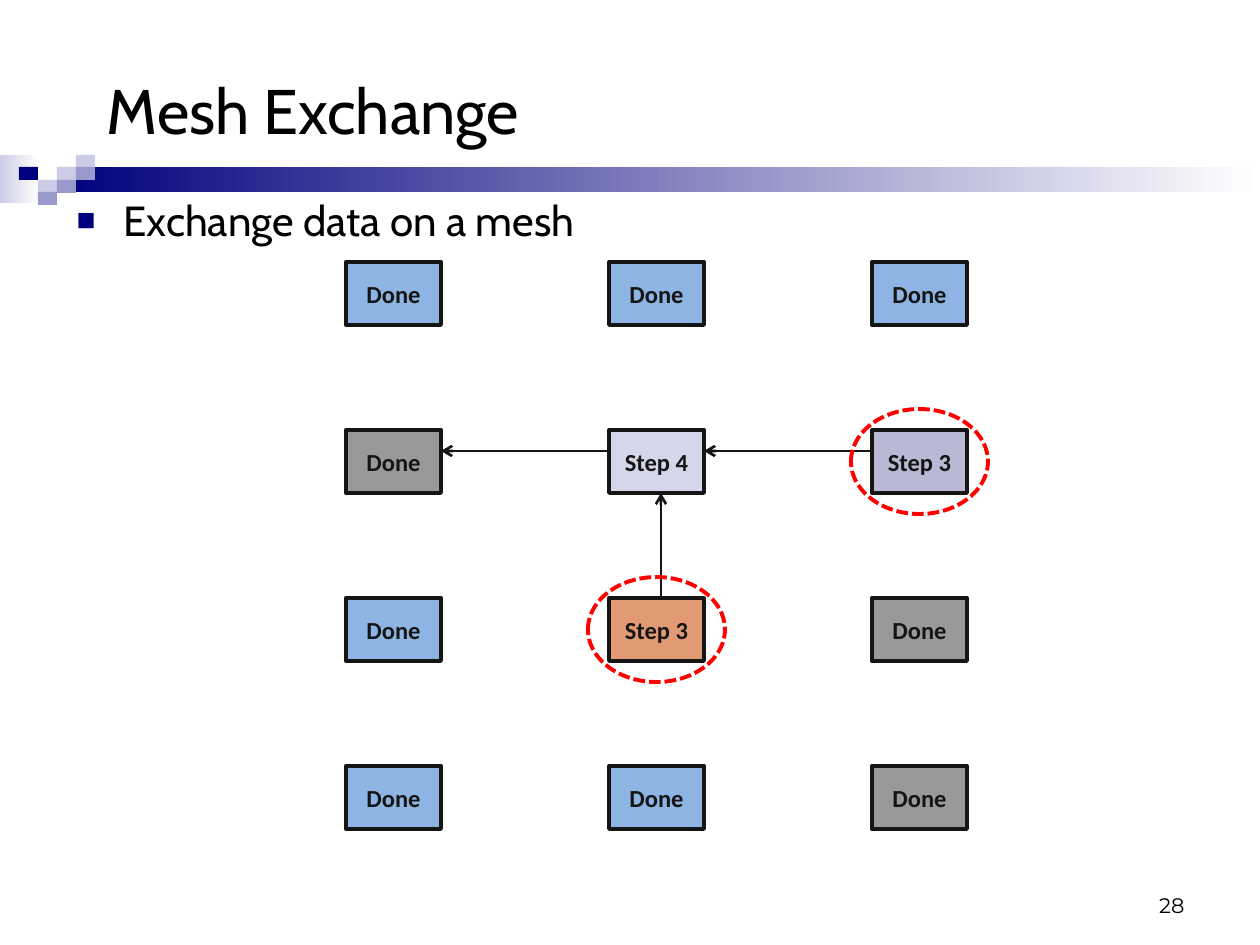
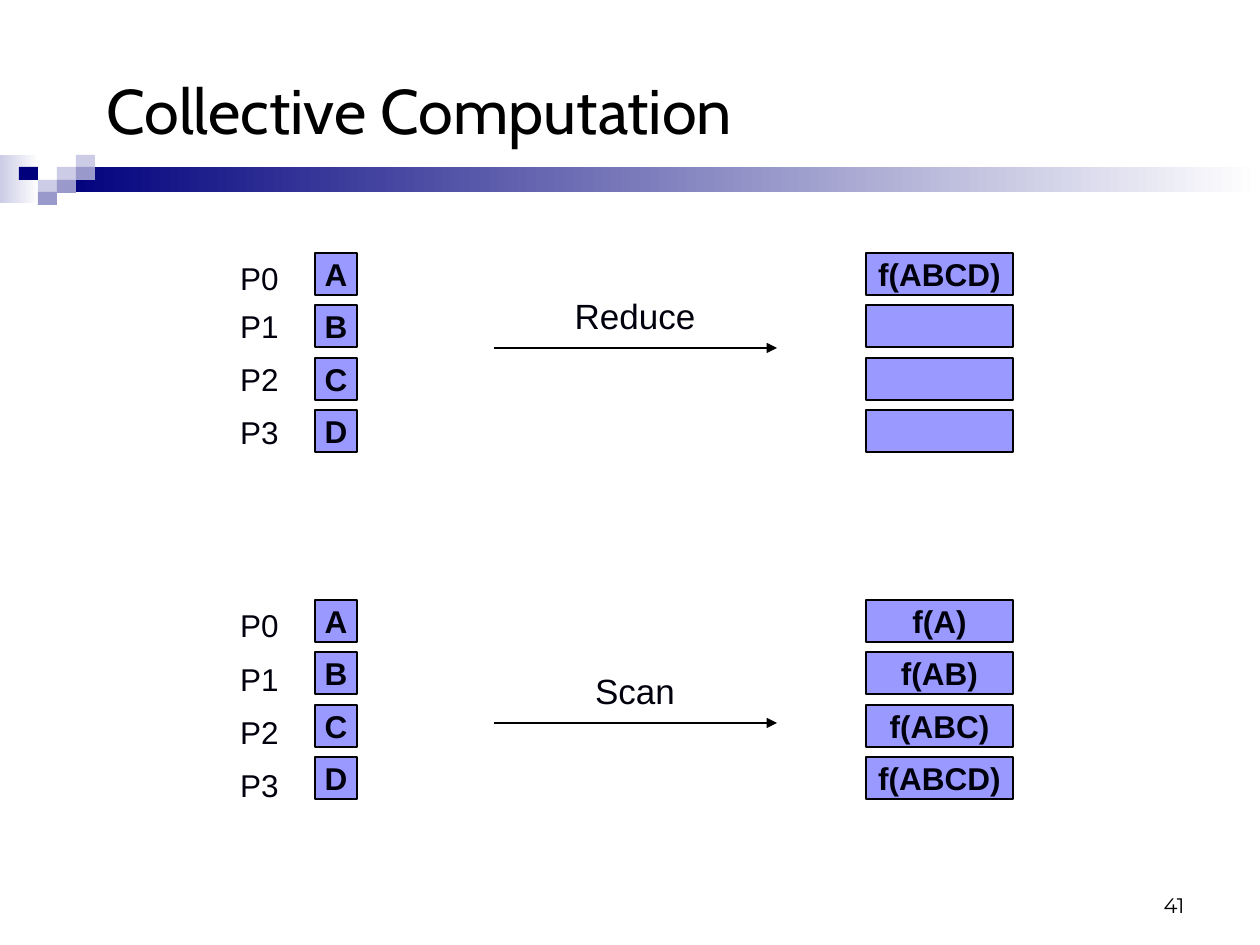
from dataclasses import dataclass
from lxml.etree import SubElement
from pptx import Presentation
from pptx.dml.color import RGBColor
from pptx.enum.dml import MSO_LINE
from pptx.enum.shapes import MSO_CONNECTOR, MSO_SHAPE
from pptx.enum.text import MSO_ANCHOR, MSO_AUTO_SIZE, PP_ALIGN
from pptx.oxml.ns import qn
from pptx.util import Emu, Pt


@dataclass(frozen=True)
class Theme:
    """Colours and type styles shared by the slides."""
    navy: str = "00007D"
    mid: str = "9999CC"
    pale: str = "CCCCE6"
    white: str = "FFFFFF"
    black: str = "000000"
    ink: str = "151515"
    red: str = "FF0000"
    blue: str = "8EB4E3"
    gray: str = "999999"
    mist: str = "D6D6EB"
    lilac: str = "B9B9D5"
    clay: str = "E29A75"
    cell: str = "9999FF"
    title: tuple = ("Cabin", 36, False, "000000")
    body: tuple = ("Cabin", 24, False, "000000")
    page: tuple = ("Montserrat", 12, False, "000000")
    node: tuple = ("Calibri", 14, True, "151515")
    value: tuple = ("Arial", 18, True, "00000D")
    rank: tuple = ("Arial", 18, False, "00000D")
    verb: tuple = ("Arial", 20, False, "00000D")


THEME = Theme()
LEFT, TOP, NODE_W, NODE_H = 346, 262, 95, 63
COL_STEP, ROW_STEP = 263, 168


def px(num):
    """Turn pixels into EMU."""
    return Emu(round(num * 914400 / 126))


def rgb(code):
    """Make a colour from its hex code."""
    return RGBColor.from_string(code)


def apply(item, values):
    """Set each attribute named in a dict."""
    for name, value in values.items():
        setattr(item, name, value)


def place(shape, *area):
    """Move and size a shape by left, top, width and height."""
    apply(shape, dict(zip(("left", "top", "width", "height"), map(px, area))))


def write(shape, text, style, align=PP_ALIGN.CENTER,
          anchor=MSO_ANCHOR.MIDDLE, wrap=True):
    """Write one styled paragraph into a shape and return it."""
    face, size, bold, color = style
    frame = shape.text_frame
    apply(frame, {"text": text, "word_wrap": wrap, "vertical_anchor": anchor,
                  "auto_size": MSO_AUTO_SIZE.NONE})
    para = frame.paragraphs[0]
    apply(para, {"alignment": align, "space_before": Pt(0)})
    font = para.runs[0].font
    apply(font, {"name": face, "size": Pt(size), "bold": bold})
    font.color.rgb = rgb(color)
    return para


def stroke(line, color, width, dash=None):
    """Format an outline or a connector."""
    line.color.rgb = rgb(color)
    apply(line, {"width": Pt(width), "dash_style": dash})


def draw(slide, area, fill=None, kind=MSO_SHAPE.RECTANGLE):
    """Add a flat shape with no outline."""
    shape = slide.shapes.add_shape(kind, *map(px, area))
    shape.shadow.inherit = False
    shape.line.fill.background()
    if fill:
        shape.fill.solid()
        shape.fill.fore_color.rgb = rgb(fill)
    else:
        shape.fill.background()
    return shape


def fade(slide, area, color):
    """Add a bar that fades to white on the right."""
    fill = draw(slide, area).fill
    fill.gradient()
    fill.gradient_angle = 0
    for stop, code, spot in zip(fill.gradient_stops, (color, THEME.white), (0, 1)):
        stop.color.rgb = rgb(code)
        stop.position = spot


def label(slide, area, text, style, **form):
    """Add a text box."""
    write(slide.shapes.add_textbox(*map(px, area)), text, style, **form)


def arrow(slide, start, end, color, width, head):
    """Add a straight arrow."""
    link = slide.shapes.add_connector(MSO_CONNECTOR.STRAIGHT, *map(px, start + end))
    stroke(link.line, color, width)
    SubElement(link.line._get_or_add_ln(), qn("a:tailEnd"), type=head)
    SubElement(link._element.spPr, qn("a:effectLst"))


def bullet(para):
    """Give a paragraph a small square bullet."""
    props = para._p.get_or_add_pPr()
    apply_indent = {"marL": px(47), "indent": -px(47)}
    for name, value in apply_indent.items():
        props.set(name, str(int(value)))
    color = SubElement(props, qn("a:buClr"))
    SubElement(color, qn("a:srgbClr"), val=THEME.navy)
    SubElement(props, qn("a:buSzPct"), val="75000")
    SubElement(props, qn("a:buFont"), typeface="Arial")
    SubElement(props, qn("a:buChar"), char="■")


def band(slide):
    """Draw the fading band and its tiles."""
    fade(slide, (0, 155, 39, 48), THEME.pale)
    fade(slide, (57, 167, 1203, 25), THEME.navy)
    tiles = ((3, 1, THEME.pale), (4, 0, THEME.pale), (4, 1, THEME.mid),
             (2, 2, THEME.pale), (1, 1, THEME.navy), (3, 2, THEME.mid),
             (2, 3, THEME.mid))
    for col, row, color in tiles:
        draw(slide, (19 * col, 155 + 25 * row // 2, 19, 13), color)


def begin(deck, layout, title, page):
    """Add a slide with its band, title and page number."""
    slide = deck.slides.add_slide(deck.slide_layouts[layout])
    band(slide)
    place(slide.shapes.title, 94, 53, 1061, 112)
    write(slide.shapes.title, title, THEME.title, PP_ALIGN.LEFT)
    label(slide, (903, 861, 294, 63), page, THEME.page,
          align=PP_ALIGN.RIGHT, anchor=MSO_ANCHOR.BOTTOM)
    return slide


def spot(col, row):
    """Give the top left corner of a mesh node."""
    return LEFT + COL_STEP * col, TOP + ROW_STEP * row


def node(slide, col, row, text, fill):
    """Add one mesh node."""
    box = draw(slide, (*spot(col, row), NODE_W, NODE_H), fill)
    stroke(box.line, THEME.ink, 2.25)
    write(box, text, THEME.node)


def ring(slide, col, row):
    """Circle a mesh node with red dashes."""
    left, top = spot(col, row)
    area = left - 21, top - 21, NODE_W + 42, NODE_H + 42
    oval = draw(slide, area, kind=MSO_SHAPE.OVAL)
    stroke(oval.line, THEME.red, 2.25, MSO_LINE.SQUARE_DOT)


def mesh(deck):
    """Build the mesh exchange slide."""
    slide = begin(deck, 1, "Mesh Exchange", "28")
    body = slide.placeholders[1]
    place(body, 64, 188, 1153, 96)
    bullet(write(body, "Exchange data on a mesh", THEME.body,
                 PP_ALIGN.LEFT, MSO_ANCHOR.TOP))
    done, idle = ("Done", THEME.blue), ("Done", THEME.gray)
    grid = ((done, done, done),
            (idle, ("Step 4", THEME.mist), ("Step 3", THEME.lilac)),
            (done, ("Step 3", THEME.clay), idle),
            (done, done, idle))
    for row, line in enumerate(grid):
        for col, (text, fill) in enumerate(line):
            node(slide, col, row, text, fill)
    left, top = spot(1, 1)
    rise, lane = left + 52, top + 21
    paths = [((rise, top + ROW_STEP), (rise, top + NODE_H))]
    paths += [((spot(col, 1)[0], lane), (spot(col - 1, 1)[0] + NODE_W, lane))
              for col in (2, 1)]
    for start, end in paths:
        arrow(slide, start, end, THEME.ink, 1.5, "arrow")
    for cell in ((1, 2), (2, 1)):
        ring(slide, *cell)


def stack(slide, left, top, width, texts):
    """Add a column of value cells."""
    for row, text in enumerate(texts):
        cell = draw(slide, (left, top + 105 * row // 2, width, 42), THEME.cell)
        stroke(cell.line, THEME.black, 1)
        if text:
            write(cell, text, THEME.value, wrap=False)


def phase(slide, top, ranks, lane, verb, results):
    """Add one operation from inputs to results."""
    form = {"anchor": MSO_ANCHOR.TOP, "wrap": False}
    for num, drop in enumerate(ranks):
        label(slide, (228, top + drop, 63, 50), f"P{num}", THEME.rank, **form)
    stack(slide, 315, top, 42, "ABCD")
    stack(slide, 866, top, 147, results)
    arrow(slide, (494, lane), (777, lane), THEME.black, 1, "triangle")
    label(slide, (562, lane - 60, 146, 55), verb, THEME.verb, **form)


def compute(deck):
    """Build the collective computation slide."""
    slide = begin(deck, 5, "Collective Computation", "41")
    phase(slide, 253, (0, 48, 101, 154), 348, "Reduce", ("f(ABCD)", "", "", ""))
    phase(slide, 600, (0, 54, 107, 160), 723, "Scan",
          ("f(A)", "f(AB)", "f(ABC)", "f(ABCD)"))


def main():
    """Build and save the deck."""
    deck = Presentation()
    apply(deck, {"slide_width": px(1260), "slide_height": px(945)})
    mesh(deck)
    compute(deck)
    deck.save("out.pptx")


if __name__ == "__main__":
    main()
